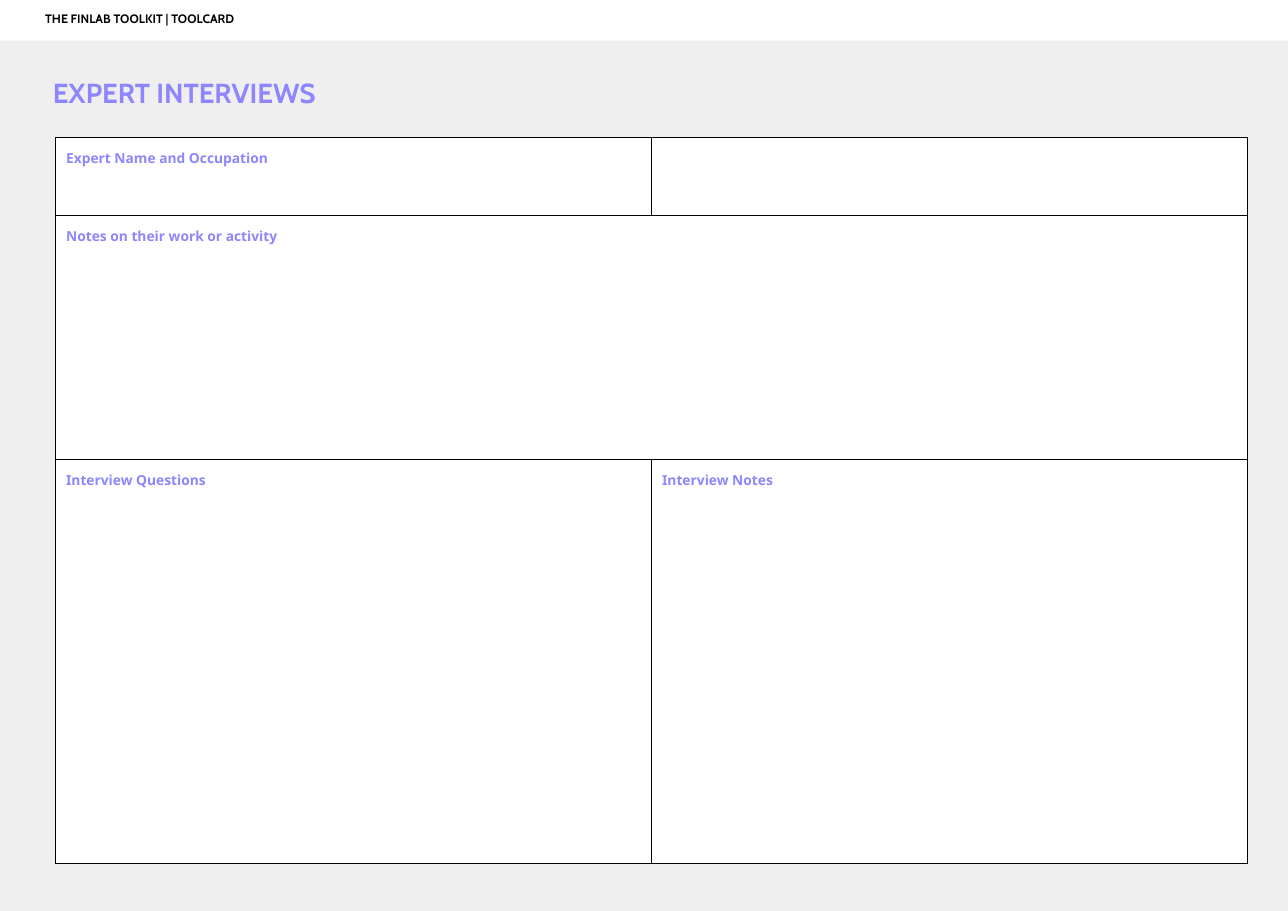
from dataclasses import dataclass

from lxml import etree
from pptx import Presentation
from pptx.dml.color import RGBColor
from pptx.enum.shapes import MSO_SHAPE
from pptx.enum.text import MSO_ANCHOR, MSO_AUTO_SIZE, PP_ALIGN
from pptx.oxml.ns import qn
from pptx.util import Pt

RECT = MSO_SHAPE.RECTANGLE
TOP = MSO_ANCHOR.TOP
LEFT = PP_ALIGN.LEFT
NO_FIT = MSO_AUTO_SIZE.NONE

EMU_PER_PX = 9144
SLIDE_W, SLIDE_H = 1169, 827
INSET = 10
COLUMNS = (541, 541)
ROWS = (
    (71, ("Expert Name and Occupation", "")),
    (221, ("Notes on their work or activity",)),
    (367, ("Interview Questions", "Interview Notes")),
)


@dataclass(frozen=True)
class Theme:
    """Colours, fonts and type sizes of the toolcard."""
    page: str = "EFEFEF"
    panel: str = "FFFFFF"
    accent: str = "8D86FC"
    ink: str = "000000"
    heading_font: str = "Cabin"
    label_font: str = "Noto Sans"
    title_size: int = 18
    label_size: int = 9
    header_size: int = 8
    border: float = 0.75


THEME = Theme()


def px(n):
    """Turn px into EMU."""
    return n * EMU_PER_PX


def write(tf, text, *, size, font, color):
    """Write one bold, left-aligned line into a text frame."""
    p = tf.paragraphs[0]
    p.alignment = LEFT
    r = p.add_run()
    r.text = text
    r.font.size = Pt(size)
    r.font.name = font
    r.font.bold = True
    r.font.color.rgb = RGBColor.from_string(color)


def set_insets(box, left=INSET):
    """Set the insets of a cell or text frame and anchor its text at the top."""
    box.margin_left = px(left)
    box.margin_right = box.margin_top = box.margin_bottom = px(INSET)
    box.vertical_anchor = TOP


def add_band(s, width, height, color):
    """Add a plain filled rectangle from the top left corner."""
    sp = s.shapes.add_shape(RECT, 0, 0, px(width), px(height))
    sp.shadow.inherit = False
    sp.fill.solid()
    sp.fill.fore_color.rgb = RGBColor.from_string(color)
    sp.line.fill.background()
    return sp


def add_header(s, text):
    """Add the white header band with its text."""
    tf = add_band(s, 1171, 37, THEME.panel).text_frame
    tf.word_wrap = True
    set_insets(tf, left=41)
    write(tf, text, size=THEME.header_size, font=THEME.heading_font, color=THEME.ink)


def place_title(s, text):
    """Move the title placeholder into place, in front of the page, and fill it."""
    sp = s.shapes.title
    sp.left, sp.top, sp.width, sp.height = px(0), px(59), px(664), px(51)
    sp.element.getparent().append(sp.element)
    tf = sp.text_frame
    tf.word_wrap = True
    tf.auto_size = NO_FIT
    set_insets(tf, left=48)
    write(tf, text, size=THEME.title_size, font=THEME.heading_font, color=THEME.accent)


def format_cell(cell):
    """Give a cell its insets, borders and fill."""
    set_insets(cell)
    tcPr = cell._tc.get_or_add_tcPr()
    for side in ("a:lnL", "a:lnR", "a:lnT", "a:lnB"):
        ln = etree.SubElement(tcPr, qn(side), w=str(Pt(THEME.border)))
        fill = etree.SubElement(ln, qn("a:solidFill"))
        etree.SubElement(fill, qn("a:srgbClr"), val=THEME.ink)
    cell.fill.solid()
    cell.fill.fore_color.rgb = RGBColor.from_string(THEME.panel)


def add_form(s, left, top):
    """Add the interview form; a row with a single label spans all columns."""
    height = sum(h for h, _ in ROWS)
    table = s.shapes.add_table(len(ROWS), len(COLUMNS), px(left), px(top),
                               px(sum(COLUMNS)), px(height)).table
    table.first_row = table.horz_banding = False
    for column, width in zip(table.columns, COLUMNS):
        column.width = px(width)
    for i, (row_height, labels) in enumerate(ROWS):
        row = table.rows[i]
        row.height = px(row_height)
        for cell in row.cells:
            format_cell(cell)
        if len(labels) == 1:
            table.cell(i, 0).merge(table.cell(i, len(COLUMNS) - 1))
        for j, label in enumerate(labels):
            if label:
                write(table.cell(i, j).text_frame, label, size=THEME.label_size,
                      font=THEME.label_font, color=THEME.accent)


def main():
    """Build the toolcard slide and save it."""
    prs = Presentation()
    prs.slide_width, prs.slide_height = px(SLIDE_W), px(SLIDE_H)
    s = prs.slides.add_slide(prs.slide_layouts[5])
    add_band(s, SLIDE_W, SLIDE_H, THEME.page)
    add_form(s, 50, 125)
    place_title(s, "EXPERT INTERVIEWS")
    add_header(s, "THE FINLAB TOOLKIT | TOOLCARD")
    prs.save("out.pptx")


if __name__ == "__main__":
    main()
